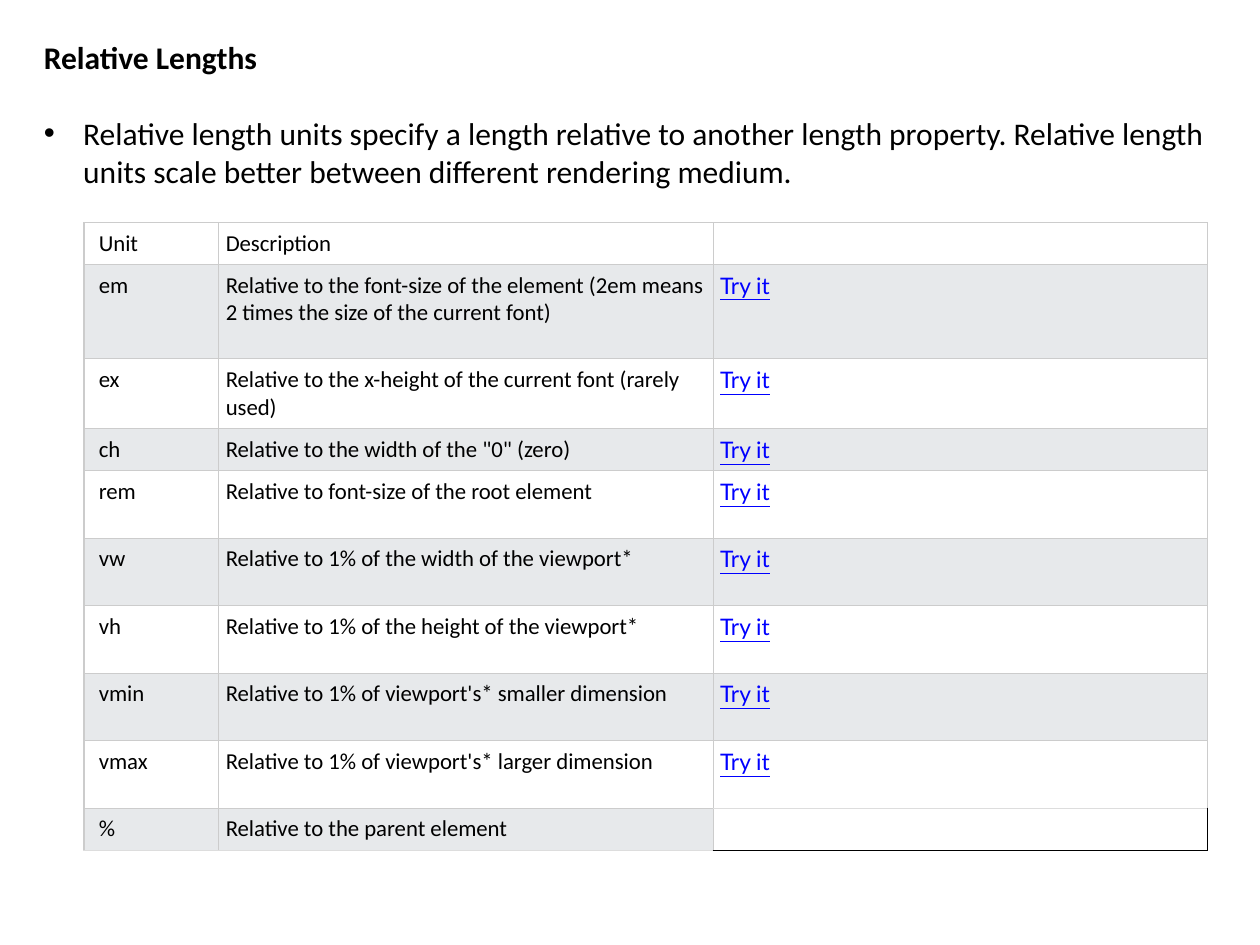
import dataclasses

import lxml.etree
import pptx
import pptx.dml.color
import pptx.enum.text
import pptx.oxml.ns
import pptx.util

Pt = pptx.util.Pt
qn = pptx.oxml.ns.qn


@dataclasses.dataclass(frozen=True)
class Theme:
    """Colours, fonts and type sizes of the slide."""

    font: str = "Calibri"
    link_font: str = "Lato"
    body: int = 18
    cell: int = 13
    text: str = "000000"
    link: str = "0000FF"
    white: str = "FFFFFF"
    band: str = "E7E9EB"
    border: str = "CCCCCC"
    light_border: str = "DDDDDD"


THEME = Theme()
UNITS = [
    ("Unit", "Description", "", 24),
    ("em", "Relative to the font-size of the element (2em means 2 times the size of the current font)", "Try it", 53.8),
    ("ex", "Relative to the x-height of the current font (rarely used)", "Try it", 40),
    ("ch", 'Relative to the width of the "0" (zero)', "Try it", 24),
    ("rem", "Relative to font-size of the root element", "Try it", 38.6),
    ("vw", "Relative to 1% of the width of the viewport*", "Try it", 38.6),
    ("vh", "Relative to 1% of the height of the viewport*", "Try it", 38.6),
    ("vmin", "Relative to 1% of viewport's* smaller dimension", "Try it", 38.6),
    ("vmax", "Relative to 1% of viewport's* larger dimension", "Try it", 38.6),
    ("%", "Relative to the parent element", "", 24),
]


def rgb(value):
    """Return a colour object for a hex string."""
    return pptx.dml.color.RGBColor.from_string(value)


def style(p, size, name=THEME.font, color=THEME.text):
    """Set the font of a paragraph."""
    p.font.size, p.font.name = Pt(size), name
    p.font.color.rgb = rgb(color)


def set_borders(cell, colors):
    """Draw the left, right, top and bottom borders of a cell."""
    tc_pr = cell._tc.get_or_add_tcPr()
    for i, (side, color) in enumerate(zip("LRTB", colors)):
        ln = lxml.etree.Element(qn(f"a:ln{side}"), w=str(Pt(0.75)))
        fill = lxml.etree.SubElement(ln, qn("a:solidFill"))
        lxml.etree.SubElement(fill, qn("a:srgbClr"), val=color)
        tc_pr.insert(i, ln)


def add_intro(slide, x, y, w, h):
    """Place the heading and its bullet in the given box."""
    tf = slide.shapes.add_textbox(Pt(x), Pt(y), Pt(w), Pt(h)).text_frame
    tf.word_wrap = True
    tf.auto_size = pptx.enum.text.MSO_AUTO_SIZE.SHAPE_TO_FIT_TEXT
    p = tf.paragraphs[0]
    p.text = "Relative Lengths"
    style(p, THEME.body)
    p.font.bold = True
    p = tf.add_paragraph()
    p.text = (
        "Relative length units specify a length relative to another length property. "
        "Relative length units scale better between different rendering medium."
    )
    p.space_before = Pt(22)
    p_pr = p._p.get_or_add_pPr()
    p_pr.set("marL", str(Pt(22.5)))
    p_pr.set("indent", str(Pt(-22.5)))
    lxml.etree.SubElement(p_pr, qn("a:buFont"), typeface="Arial")
    lxml.etree.SubElement(p_pr, qn("a:buChar"), char="•")
    style(p, THEME.body)


def fill_cell(cell, text, row, col):
    """Write, fill and border one cell of the unit table."""
    last = row == len(UNITS) - 1
    cell.margin_left = Pt(8.5 if col == 0 else 4)
    cell.margin_right = cell.margin_top = cell.margin_bottom = Pt(4)
    p = cell.text_frame.paragraphs[0]
    if text:
        p.text = text
        is_link = col == 2
        style(p, THEME.cell, THEME.link_font if is_link else THEME.font, THEME.link if is_link else THEME.text)
        p.font.underline = is_link
    else:
        lxml.etree.SubElement(p._p, qn("a:endParaRPr"), sz=str(THEME.cell * 100))
    if last and col == 2:
        cell.fill.background()
        set_borders(cell, (THEME.border, THEME.text, THEME.light_border, THEME.text))
        return
    cell.fill.solid()
    cell.fill.fore_color.rgb = rgb(THEME.band if row % 2 else THEME.white)
    pale = last or (row == len(UNITS) - 2 and col == 2)
    set_borders(cell, (THEME.border,) * 3 + (THEME.light_border if pale else THEME.border,))


def add_unit_table(slide, x, y, w, h):
    """Place the table of relative units in the given box."""
    table = slide.shapes.add_table(len(UNITS), 3, Pt(x), Pt(y), Pt(w), Pt(h)).table
    table.first_row = table.horz_banding = False
    unit_w = w * 0.12
    for column, width in zip(table.columns, (unit_w, (w - unit_w) / 2, (w - unit_w) / 2)):
        column.width = Pt(width)
    for row, (*texts, height) in enumerate(UNITS):
        table.rows[row].height = Pt(height)
        for col, text in enumerate(texts):
            fill_cell(table.cell(row, col), text, row, col)


def main():
    """Build and save the slide."""
    prs = pptx.Presentation()
    prs.slide_width, prs.slide_height = Pt(720), Pt(540)
    slide = prs.slides.add_slide(prs.slide_layouts[6])
    add_intro(slide, 18, 18, 684, 94.5)
    add_unit_table(slide, 48, 127.2, 642, 358.8)
    prs.save("out.pptx")


if __name__ == "__main__":
    main()
